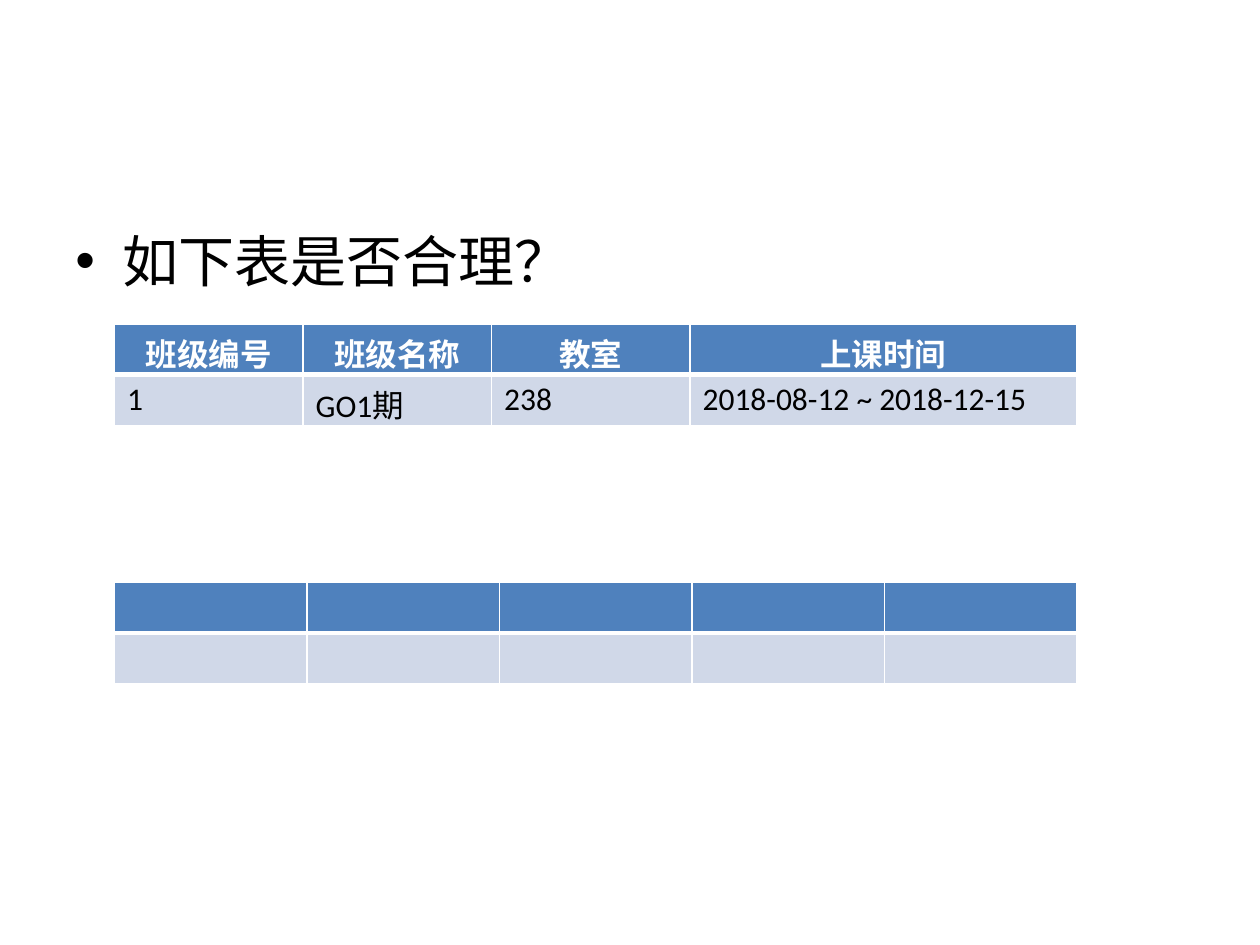
from lxml import etree
from pptx import Presentation
from pptx.dml.color import RGBColor
from pptx.enum.text import PP_ALIGN
from pptx.oxml.ns import qn
from pptx.util import Cm, Pt

CENTER, LEFT = PP_ALIGN.CENTER, PP_ALIGN.LEFT
FONT = "Calibri"
COLORS = {"header": "4F81BD", "body": "D0D8E8", "white": "FFFFFF", "black": "000000"}

QUESTION = "如下表是否合理？"
CLASS_ROWS = [
    ["班级编号", "班级名称", "教室", "上课时间"],
    ["1", "GO1期", "238", "2018-08-12 ~ 2018-12-15"],
]
BLANK_ROWS = [[""] * 5] * 2

TABLE_LEFT, TABLE_WIDTH = 2.31, 19.4
TABLES = [  # rows, top, column widths, row heights
    (CLASS_ROWS, 6.53, [3.8, 3.8, 4, 7.8], [0.38, 1.03]),
    (BLANK_ROWS, 11.73, [TABLE_WIDTH / 5] * 5, [1.03, 1.03]),
]


def rgb(name):
    return RGBColor.from_string(COLORS[name])


def add_run(p, text, size, color, bold=False):
    r = p.add_run()
    r.text = text
    r.font.name, r.font.size, r.font.bold = FONT, Pt(size), bold
    r.font.color.rgb = rgb(color)


def set_borders(cell, widths):
    """Draw white borders; widths maps the sides L, R, T, B to points."""
    tc_pr = cell._tc.get_or_add_tcPr()
    for side, width in widths.items():
        ln = etree.SubElement(tc_pr, qn(f"a:ln{side}"), w=str(Pt(width)))
        fill = etree.SubElement(ln, qn("a:solidFill"))
        etree.SubElement(fill, qn("a:srgbClr"), val=COLORS["white"])


def add_question(slide):
    box = slide.shapes.add_textbox(Cm(1.27), Cm(4.45), Cm(22.86), Cm(12.57))
    tf = box.text_frame
    tf.word_wrap = True
    p = tf.paragraphs[0]
    p_pr = p._p.get_or_add_pPr()
    p_pr.set("marL", str(Cm(0.95)))
    p_pr.set("indent", str(-Cm(0.95)))
    etree.SubElement(p_pr, qn("a:buFont"), typeface="Arial")
    etree.SubElement(p_pr, qn("a:buChar"), char="•")
    add_run(p, QUESTION, 32, "black")


def add_table(slide, rows, top, widths, heights):
    table = slide.shapes.add_table(
        len(rows), len(widths), Cm(TABLE_LEFT), Cm(top),
        Cm(TABLE_WIDTH), Cm(sum(heights))).table
    for column, width in zip(table.columns, widths):
        column.width = Cm(width)
    for i, (texts, height) in enumerate(zip(rows, heights)):
        header = i == 0
        table.rows[i].height = Cm(height)
        for j, text in enumerate(texts):
            cell = table.cell(i, j)
            top_width, bottom_width = (1, 3) if header else (3, 1)
            set_borders(cell, {"L": 1, "R": 1, "T": top_width, "B": bottom_width})
            cell.fill.solid()
            cell.fill.fore_color.rgb = rgb("header" if header else "body")
            if text:
                p = cell.text_frame.paragraphs[0]
                p.alignment = CENTER if header else LEFT
                add_run(p, text, 18, "white" if header else "black", header)


def main():
    prs = Presentation()
    prs.slide_width, prs.slide_height = Cm(25.4), Cm(19.05)
    slide = prs.slides.add_slide(prs.slide_layouts[6])
    add_question(slide)
    for table in TABLES:
        add_table(slide, *table)
    prs.save("out.pptx")


if __name__ == "__main__":
    main()
